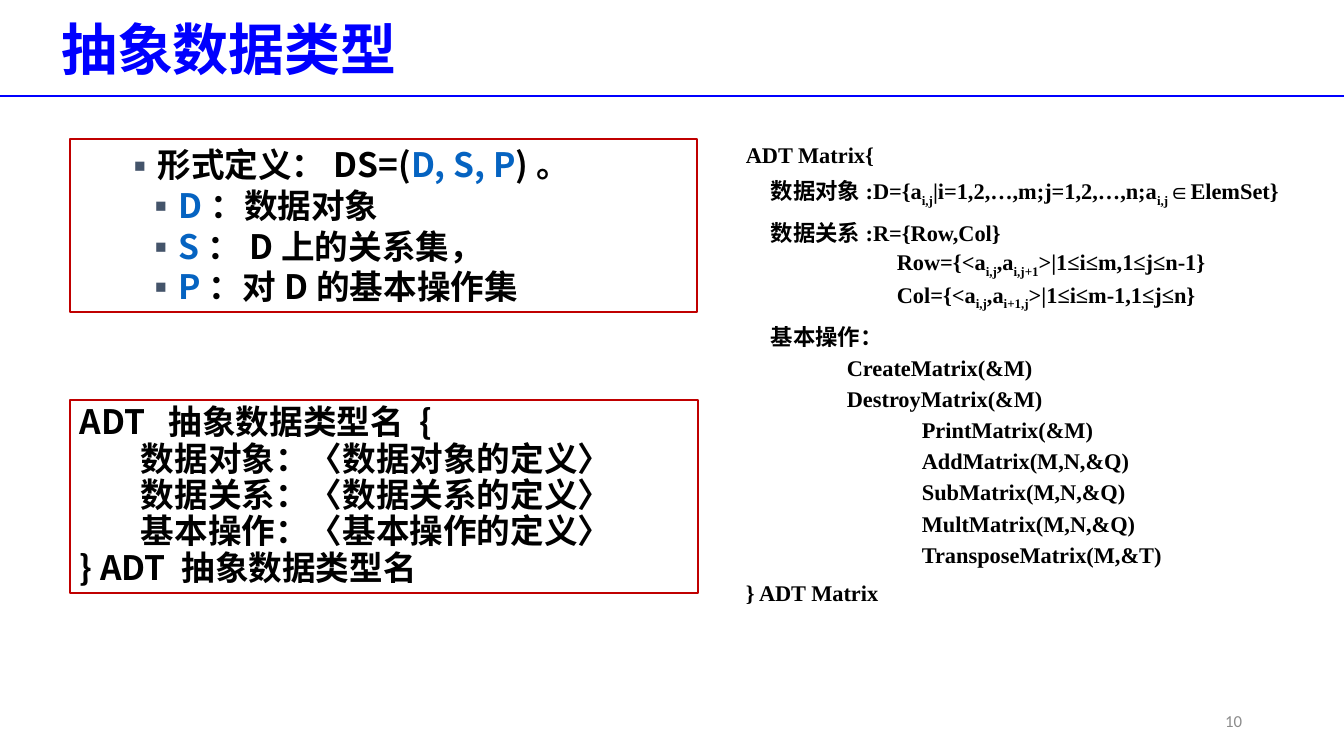
"""Build the abstract data type slide."""
from dataclasses import dataclass
from lxml.etree import SubElement as sub_el
from pptx import Presentation
from pptx.dml.color import RGBColor as RGB
from pptx.enum.shapes import MSO_CONNECTOR as LINK
from pptx.enum.text import MSO_ANCHOR as ANCHOR, PP_ALIGN as ALIGN
from pptx.oxml.ns import qn
from pptx.util import Pt

PX = 914400 / 100.8


@dataclass(frozen=True)
class Theme:
    sans: str = "Noto Sans CJK SC"
    serif: str = "Times New Roman"
    plain: str = "Calibri"
    blue: str = "0000FF"
    red: str = "C00000"
    key: str = "0563C1"
    mark: str = "44546A"
    ink: str = "000000"
    gray: str = "8C8C8C"
    head: int = 40
    body: int = 24
    code: int = 16
    foot: int = 12


T = Theme()
SIZE = (1344, 756)
RULE_Y = 96
TITLE = ("抽象数据类型", (51, 1, 1159, 103))
NUMBER = ("10", (950, 701, 302, 40))

FORM_BOX = (70, 139, 627, 173)
FORM = [
    (44, 0, [("形式定义：DS=(", T.ink), ("D, S, P", T.key), (")。", T.ink)]),
    (84, 19, [("D", T.key), ("：数据对象", T.ink)]),
    (84, 19, [("S", T.key), ("：D上的关系集，", T.ink)]),
    (84, 19, [("P", T.key), ("：对D的基本操作集", T.ink)]),
]

ADT_BOX = (70, 400, 628, 193)
ADT = [
    (0, "ADT  抽象数据类型名 {"),
    (61, "数据对象：〈数据对象的定义〉"),
    (61, "数据关系：〈数据关系的定义〉"),
    (61, "基本操作：〈基本操作的定义〉"),
    (0, "} ADT 抽象数据类型名"),
]

CODE_BOX = (736, 139, 579, 475)
CODE = [
    (0, 0, ["ADT Matrix{"]),
    (25, 10, ["数据对象:D={a", "i,j", "|i=1,2,…,m;j=1,2,…,n;a", "i,j", "∈ElemSet}"]),
    (25, 10, ["数据关系:R={Row,Col}"]),
    (151, 5, ["Row={<a", "i,j", ",a", "i,j+1", ">|1≤i≤m,1≤j≤n-1}"]),
    (151, 5, ["Col={<a", "i,j", ",a", "i+1,j", ">|1≤i≤m-1,1≤j≤n}"]),
    (25, 10, ["基本操作："]),
    (101, 5, ["CreateMatrix(&M)"]),
    (101, 5, ["DestroyMatrix(&M)"]),
    (176, 5, ["PrintMatrix(&M)"]),
    (176, 5, ["AddMatrix(M,N,&Q)"]),
    (176, 5, ["SubMatrix(M,N,&Q)"]),
    (176, 5, ["MultMatrix(M,N,&Q)"]),
    (176, 5, ["TransposeMatrix(M,&T)"]),
    (0, 10, ["} ADT Matrix"]),
]


def emu(*vals):
    return [round(v * PX) for v in vals]


def add_run(para, text, face, size, color=T.ink, bold=True, low=False):
    run = para.add_run()
    run.text = text
    font = run.font
    font.name, font.size, font.bold = face, Pt(size), bold
    font.color.rgb = RGB.from_string(color)
    east = T.sans if face == T.serif else face
    sub_el(font._element, qn("a:ea")).set("typeface", east)
    if low:
        font._element.set("baseline", "-25000")


def add_box(slide, area, edge=None):
    box = slide.shapes.add_textbox(*emu(*area))
    box.text_frame.word_wrap = True
    if edge:
        box.line.color.rgb = RGB.from_string(edge)
        box.line.width = Pt(1)
    return box.text_frame


def add_para(frame, first, left=0, lead=None, gap=0):
    para = frame.paragraphs[0] if first else frame.add_paragraph()
    para.space_before = Pt(gap)
    if lead:
        para.line_spacing = Pt(lead)
    para._p.get_or_add_pPr().set("marL", str(emu(left)[0]))
    return para


def add_mark(para, hang):
    props = para._p.get_or_add_pPr()
    props.set("indent", str(emu(-hang)[0]))
    tint = sub_el(props, qn("a:buClr"))
    sub_el(tint, qn("a:srgbClr")).set("val", T.mark)
    sub_el(props, qn("a:buFont")).set("typeface", T.sans)
    sub_el(props, qn("a:buChar")).set("char", "▪")


def add_head(slide):
    text, area = TITLE
    title = slide.shapes.title
    title.left, title.top, title.width, title.height = emu(*area)
    frame = title.text_frame
    frame.vertical_anchor = ANCHOR.MIDDLE
    para = add_para(frame, True)
    para.alignment = ALIGN.LEFT
    para.line_spacing = 0.9
    add_run(para, text, T.sans, T.head, T.blue)
    rule = slide.shapes.add_connector(
        LINK.STRAIGHT, *emu(0, RULE_Y, SIZE[0], RULE_Y))
    rule.line.color.rgb = RGB.from_string(T.blue)
    rule.line.width = Pt(1.25)
    sub_el(rule._element.spPr, qn("a:effectLst"))


def add_form(slide):
    frame = add_box(slide, FORM_BOX, T.red)
    for i, (left, hang, parts) in enumerate(FORM):
        para = add_para(frame, i == 0, left, 29)
        para.alignment = ALIGN.JUSTIFY
        add_mark(para, hang)
        for text, color in parts:
            add_run(para, text, T.sans, T.body, color)


def add_adt(slide):
    frame = add_box(slide, ADT_BOX, T.red)
    for i, (left, text) in enumerate(ADT):
        add_run(add_para(frame, i == 0, left, 26), text, T.sans, T.body)


def add_code(slide):
    frame = add_box(slide, CODE_BOX)
    for i, (left, gap, parts) in enumerate(CODE):
        lead = 18.3 if len(parts) > 1 else 17.3
        para = add_para(frame, i == 0, left, lead, gap)
        for j, text in enumerate(parts):
            add_run(para, text, T.serif, T.code, low=j % 2 == 1)


def add_foot(slide):
    text, area = NUMBER
    frame = add_box(slide, area)
    frame.vertical_anchor = ANCHOR.MIDDLE
    para = add_para(frame, True)
    para.alignment = ALIGN.RIGHT
    add_run(para, text, T.plain, T.foot, T.gray, bold=False)


def main():
    deck = Presentation()
    deck.slide_width, deck.slide_height = emu(*SIZE)
    slide = deck.slides.add_slide(deck.slide_layouts[5])
    for build in (add_head, add_form, add_adt, add_code, add_foot):
        build(slide)
    deck.save("out.pptx")


if __name__ == "__main__":
    main()
